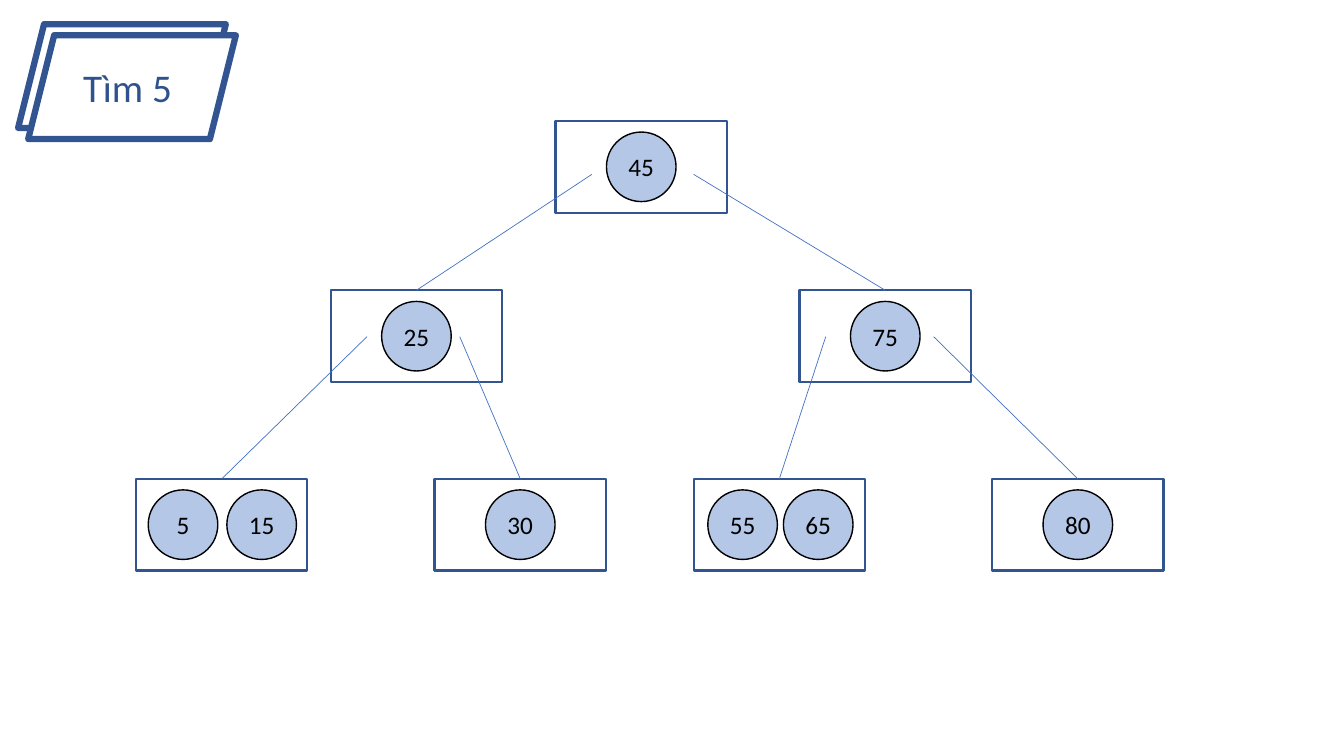
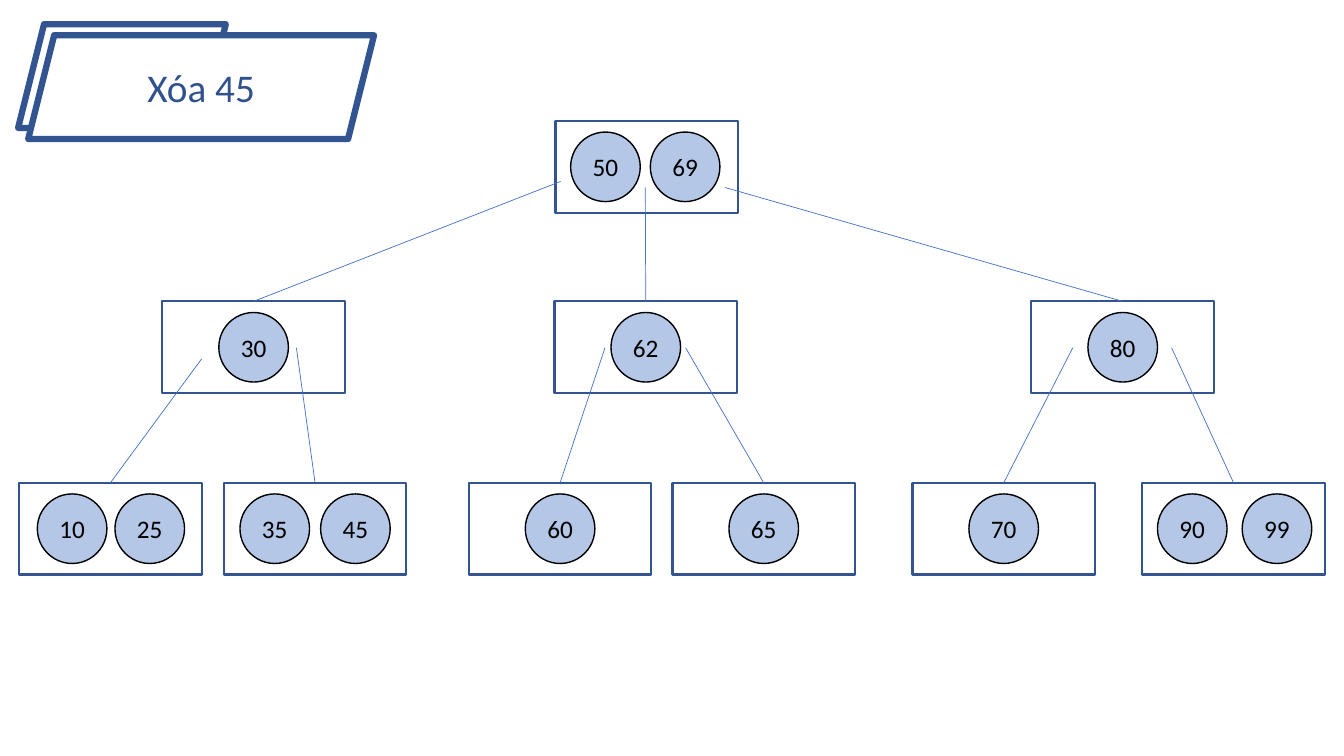
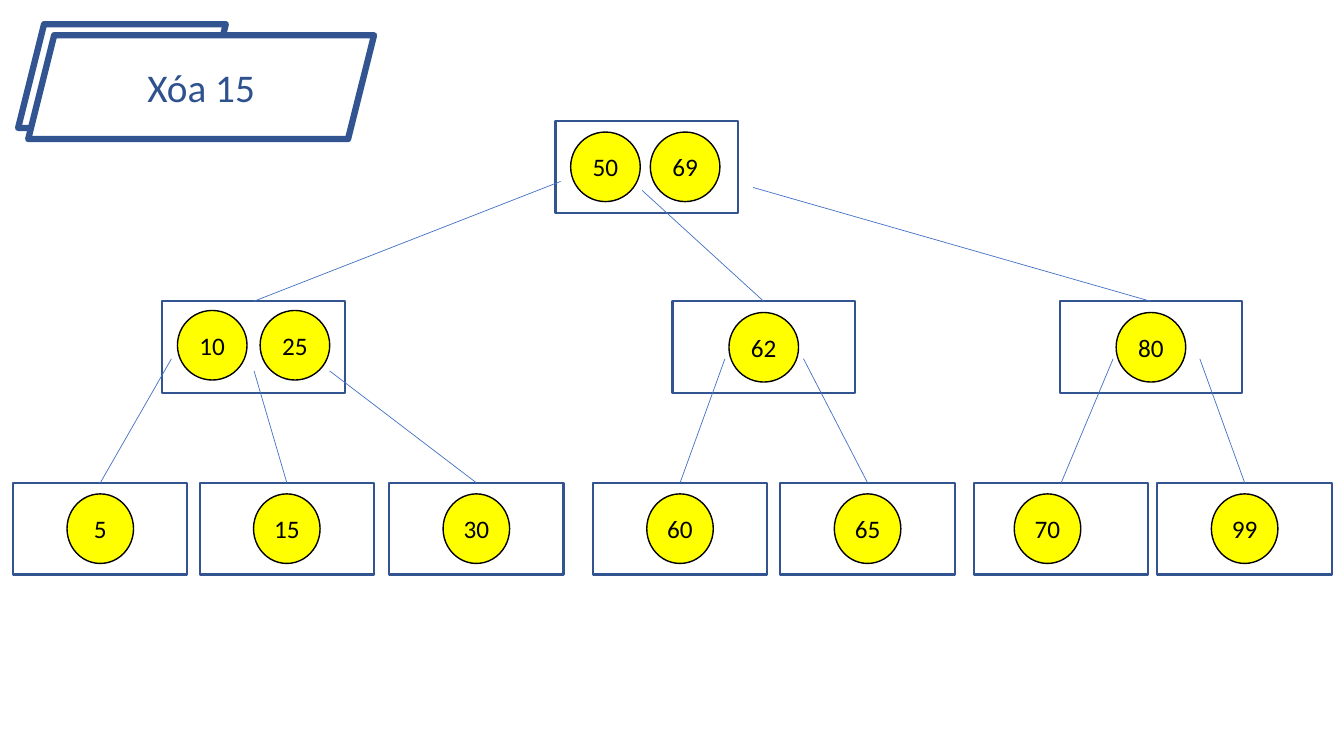
import dataclasses

import lxml.etree
import pptx
import pptx.dml.color
import pptx.enum.shapes
import pptx.enum.text
import pptx.oxml.ns
import pptx.util

Inches = pptx.util.Inches
Shapes = pptx.enum.shapes.MSO_SHAPE


@dataclasses.dataclass(frozen=True)
class Theme:
    font: str = "Calibri"
    outline: str = "325491"
    title_text: str = "2F528F"
    edge: str = "4472C4"
    key_text: str = "000000"
    blue_key: str = "B4C7E7"
    yellow_key: str = "FFFF00"
    paper: str = "FFFFFF"
    title_size: int = 28
    key_size: int = 18
    title_line: float = 4.5
    node_line: float = 1.5
    key_line: float = 1
    edge_line: float = 0.5


@dataclasses.dataclass(frozen=True)
class Node:
    """A box of keys; edge_start is where the line from its parent begins."""
    left: float
    keys: tuple
    edge_start: tuple = None
    key_lefts: tuple = None
    key_lift: float = 0


@dataclasses.dataclass(frozen=True)
class Level:
    top: float
    nodes: tuple
    node_width: float = 1.81
    key_width: float = 0.69


THEME = Theme()
NODE_HEIGHT = 0.91
KEY_HEIGHT = 0.69
TITLE_HEIGHT = 1.03
TITLE_BACK_WIDTH = 2.06

FIND_5 = (
    Level(1.2, (Node(5.51, ("45",)),), node_width=1.7),
    Level(2.88, (
        Node(3.28, ("25",), (5.87, 1.73)),
        Node(7.93, ("75",), (6.88, 1.73)),
    ), node_width=1.7),
    Level(4.75, (
        Node(1.35, ("5", "15"), (3.64, 3.34), (1.47, 2.25)),
        Node(4.31, ("30",), (4.56, 3.34)),
        Node(6.88, ("55", "65"), (8.19, 3.34), (7.02, 7.77)),
        Node(9.84, ("80",), (9.26, 3.34)),
    ), node_width=1.7),
)

ROOT_50_69 = Level(1.2, (Node(5.51, ("50", "69"), key_lefts=(5.66, 6.45)),))

DELETE_45 = (
    ROOT_50_69,
    Level(2.99, (
        Node(1.61, ("30",), (5.56, 1.8)),
        Node(5.5, ("62",), (6.4, 1.86)),
        Node(10.23, ("80",), (7.19, 1.86)),
    )),
    Level(4.79, (
        Node(0.19, ("10", "25"), (2, 3.56), (0.37, 1.14)),
        Node(2.22, ("35", "45"), (2.94, 3.45), (2.38, 3.18)),
        Node(4.65, ("60",), (6, 3.45)),
        Node(6.67, ("65",), (6.8, 3.45)),
        Node(9.05, ("70",), (10.64, 3.45)),
        Node(11.33, ("90", "99"), (11.62, 3.45), (11.48, 12.32)),
    )),
)

DELETE_15 = (
    ROOT_50_69,
    Level(2.99, (
        Node(1.61, ("10", "25"), (5.56, 1.8), (1.76, 2.58), key_lift=0.02),
        Node(6.67, ("62",), (6.37, 1.89)),
        Node(10.51, ("80",), (7.47, 1.86)),
    )),
    Level(4.79, (
        Node(0.13, ("5",), (1.7, 3.56)),
        Node(1.98, ("15",), (2.52, 3.68)),
        Node(3.86, ("30",), (3.27, 3.68)),
        Node(5.88, ("60",), (7.19, 3.56)),
        Node(7.74, ("65",), (7.97, 3.56)),
        Node(9.66, ("70",), (11.04, 3.56), (10.06,)),
        Node(11.48, ("99",), (11.9, 3.56)),
    ), node_width=1.73, key_width=0.66),
)


def rgb(value):
    return pptx.dml.color.RGBColor.from_string(value)


def add_shape(slide, kind, left, top, width, height, *, line, line_width, fill=None):
    shape = slide.shapes.add_shape(
        kind, Inches(left), Inches(top), Inches(width), Inches(height))
    shape.shadow.inherit = False
    shape.line.color.rgb = rgb(line)
    shape.line.width = pptx.util.Pt(line_width)
    if fill:
        shape.fill.solid()
        shape.fill.fore_color.rgb = rgb(fill)
    else:
        shape.fill.background()
    return shape


def write_text(shape, text, *, size, color):
    frame = shape.text_frame
    frame.word_wrap = True
    frame.vertical_anchor = pptx.enum.text.MSO_ANCHOR.MIDDLE
    frame.margin_left = frame.margin_right = 0
    paragraph = frame.paragraphs[0]
    paragraph.alignment = pptx.enum.text.PP_ALIGN.CENTER
    run = paragraph.add_run()
    run.text = text
    run.font.name = THEME.font
    run.font.size = pptx.util.Pt(size)
    run.font.color.rgb = rgb(color)


def add_edge(slide, start, box):
    """Draw a line from a point to the middle of the box's top side."""
    x, y = (Inches(value) for value in start)
    connector = slide.shapes.add_connector(
        pptx.enum.shapes.MSO_CONNECTOR.STRAIGHT, x, y, x, y)
    connector.end_connect(box, 0)
    connector.line.color.rgb = rgb(THEME.edge)
    connector.line.width = pptx.util.Pt(THEME.edge_line)
    lxml.etree.SubElement(
        connector._element.spPr, pptx.oxml.ns.qn("a:effectLst"))


def add_node(slide, level, node, key_fill):
    box = add_shape(slide, Shapes.RECTANGLE, node.left, level.top,
                    level.node_width, NODE_HEIGHT,
                    line=THEME.outline, line_width=THEME.node_line)
    if node.edge_start:
        add_edge(slide, node.edge_start, box)
    centred_left = node.left + (level.node_width - level.key_width) / 2
    key_top = level.top + (NODE_HEIGHT - KEY_HEIGHT) / 2 - node.key_lift
    for key, left in zip(node.keys, node.key_lefts or (centred_left,)):
        circle = add_shape(slide, Shapes.OVAL, left, key_top,
                           level.key_width, KEY_HEIGHT, fill=key_fill,
                           line=THEME.key_text, line_width=THEME.key_line)
        write_text(circle, key, size=THEME.key_size, color=THEME.key_text)


def add_title(slide, text, width):
    """Stack two parallelograms and write the title on the front one."""
    for left, top, plate_width in ((0.18, 0.24, TITLE_BACK_WIDTH),
                                   (0.28, 0.35, width)):
        plate = add_shape(slide, Shapes.PARALLELOGRAM, left, top,
                          plate_width, TITLE_HEIGHT, fill=THEME.paper,
                          line=THEME.outline, line_width=THEME.title_line)
    write_text(plate, text, size=THEME.title_size, color=THEME.title_text)


def add_tree_slide(presentation, title, title_width, levels, key_fill):
    slide = presentation.slides.add_slide(presentation.slide_layouts[6])
    for level in levels:
        for node in level.nodes:
            add_node(slide, level, node, key_fill)
    add_title(slide, title, title_width)


def main():
    presentation = pptx.Presentation()
    presentation.slide_width = Inches(13.33)
    presentation.slide_height = Inches(7.5)
    add_tree_slide(presentation, "Tìm 5 ", 2.06, FIND_5, THEME.blue_key)
    add_tree_slide(presentation, "Xóa 45", 3.43, DELETE_45, THEME.blue_key)
    add_tree_slide(presentation, "Xóa 15", 3.43, DELETE_15, THEME.yellow_key)
    presentation.save("out.pptx")


if __name__ == "__main__":
    main()
